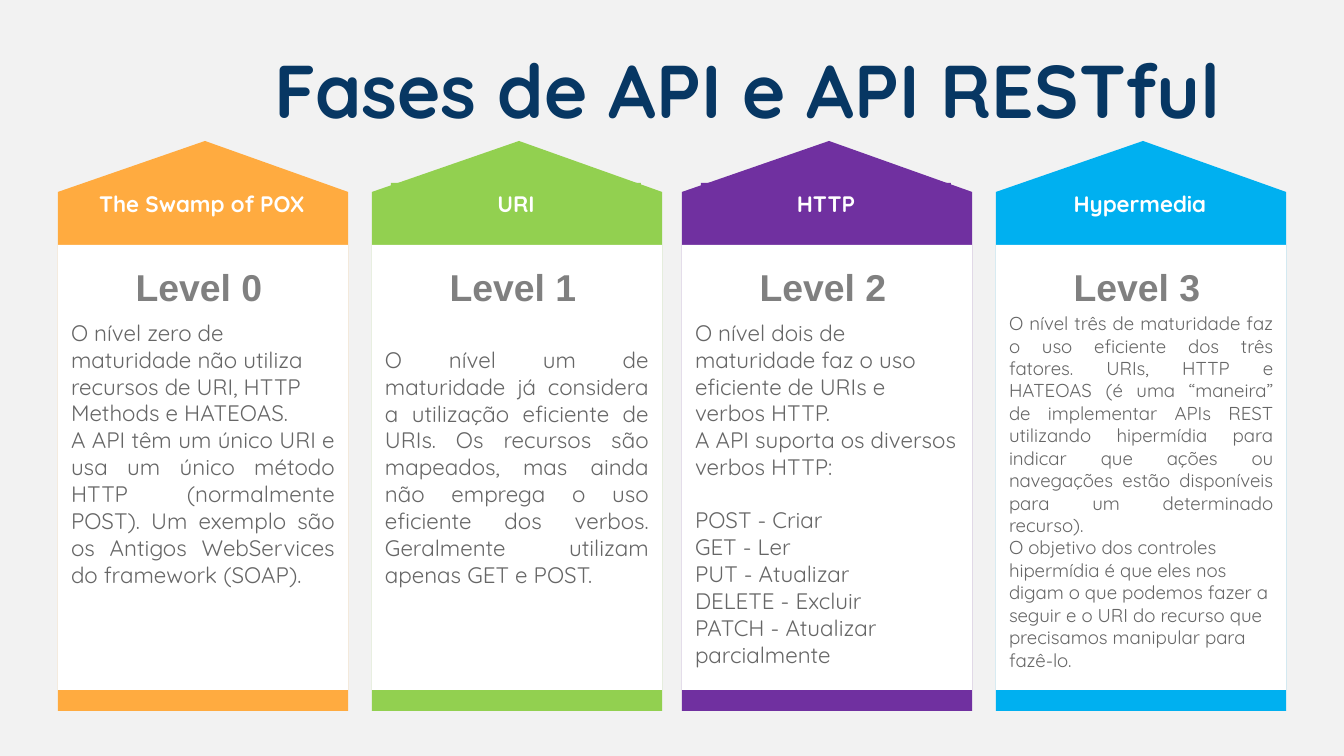
import pptx
import pptx.dml.color
import pptx.enum.shapes
import pptx.enum.text
import pptx.util

PX = 914400 / 134.4
ALIGN = pptx.enum.text.PP_ALIGN
ANCHOR = pptx.enum.text.MSO_ANCHOR
RECT = pptx.enum.shapes.MSO_SHAPE.RECTANGLE


def paint(fill, tint):
    fill.solid()
    fill.fore_color.rgb = pptx.dml.color.RGBColor.from_string(tint)


def block(spot, paras, size, font, ink, bold=False, tint=None, inset=7, anchor=ANCHOR.TOP):
    left, top, width, height = [round(n * PX) for n in spot]
    if tint:
        shape = slide.shapes.add_shape(RECT, left, top, width, height)
        shape.shadow.inherit = False
        shape.line.fill.background()
        paint(shape.fill, tint)
    else:
        shape = slide.shapes.add_textbox(left, top, width, height)
    frame = shape.text_frame
    frame.word_wrap = True
    frame.vertical_anchor = anchor
    frame.margin_left = frame.margin_right = round(13 * PX)
    frame.margin_top = round(inset * PX)
    for i, (text, align, gap) in enumerate(paras):
        para = frame.add_paragraph() if i else frame.paragraphs[0]
        para.alignment = align
        para.space_before = pptx.util.Pt(gap)
        run = para.add_run()
        run.text = text
        run.font.size = pptx.util.Pt(size)
        run.font.name = font
        run.font.bold = bold
        paint(run.font.fill, ink)


deck = pptx.Presentation()
deck.slide_width = round(1344 * PX)
deck.slide_height = round(756 * PX)
slide = deck.slides.add_slide(deck.slide_layouts[6])
paint(slide.background.fill, "F2F2F2")

block((187, 44, 1122, 88), [("Fases de API e API RESTful", ALIGN.CENTER, 0)],
      40, "Quicksand", "073763", True, anchor=ANCHOR.MIDDLE)

LEFT, JUST = ALIGN.LEFT, ALIGN.JUSTIFY
stages = [
    (58, "FFAB40", "The Swamp of POX", False, 12, 74, [
        ("O nível zero de maturidade não utiliza recursos de URI, HTTP Methods e HATEOAS.", LEFT, 0),
        ("A API têm um único URI e usa um único método HTTP (normalmente POST). "
         "Um exemplo são os Antigos WebServices do framework (SOAP).", JUST, 0)]),
    (372, "92D050", "URI", True, 12, 101, [
        ("O nível um de maturidade já considera a utilização eficiente de URIs. "
         "Os recursos são mapeados, mas ainda não emprega o uso eficiente dos verbos. "
         "Geralmente utilizam apenas GET e POST.", JUST, 0)]),
    (682, "7030A0", "HTTP", True, 12, 74, [
        ("O nível dois de maturidade faz o uso eficiente de URIs e verbos HTTP.", LEFT, 0),
        ("A API suporta os diversos verbos HTTP:", LEFT, 0),
        ("POST - Criar", LEFT, 14),
        ("GET - Ler", LEFT, 0),
        ("PUT - Atualizar", LEFT, 0),
        ("DELETE - Excluir", LEFT, 0),
        ("PATCH - Atualizar parcialmente", LEFT, 0)]),
    (996, "00B0F0", "Hypermedia", False, 10, 67, [
        ("O nível três de maturidade faz o uso eficiente dos três fatores. "
         "URIs, HTTP e HATEOAS (é uma “maneira” de implementar APIs REST utilizando "
         "hipermídia para indicar que ações ou navegações estão disponíveis para um "
         "determinado recurso).", JUST, 0),
        ("O objetivo dos controles hipermídia é que eles nos digam o que podemos fazer "
         "a seguir e o URI do recurso que precisamos manipular para fazê-lo.", LEFT, 0)]),
]

for level, (x, tint, name, solid, size, inset, paras) in enumerate(stages):
    pen = slide.shapes.build_freeform(x, 711, scale=PX)
    pen.add_line_segments([(x, 192), (x + 147, 141), (x + 290, 192), (x + 290, 711)])
    house = pen.convert_to_shape()
    house.shadow.inherit = False
    house.line.fill.background()
    paint(house.fill, tint)

    block((x, 245, 290, 445), paras, size, "Quicksand", "666666", tint="FFFFFF", inset=inset)
    block((x + 49, 257, 184, 59), [(f"Level {level}", ALIGN.CENTER, 0)],
          20, "Arial", "808080", True, "FFFFFF" if solid else None)
    block((x + 19, 183, 250, 40), [(name, ALIGN.CENTER, 0)],
          12, "Quicksand", "FFFFFF", True, tint if solid else None)

deck.save("out.pptx")
